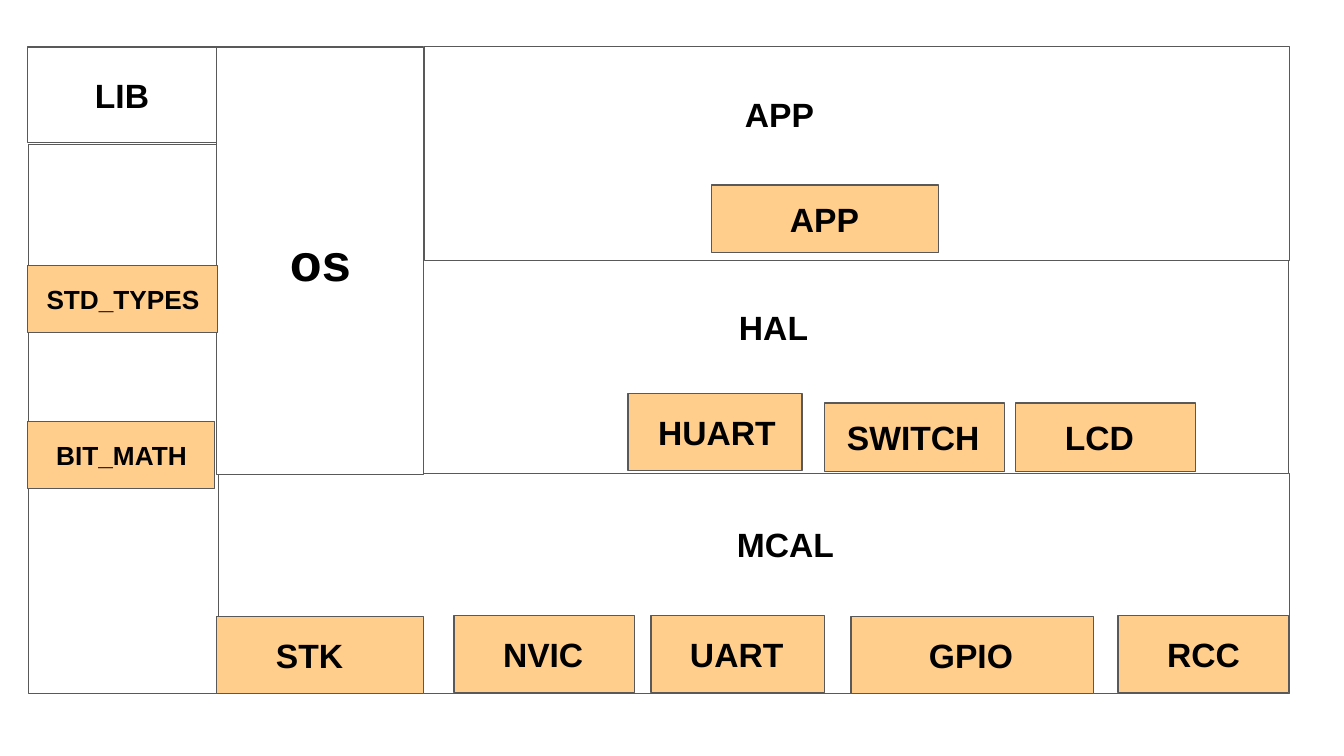
"""Build a layered software architecture slide."""
from dataclasses import dataclass
from typing import Optional

from pptx import Presentation
from pptx.dml.color import RGBColor
from pptx.enum.shapes import MSO_SHAPE
from pptx.enum.text import MSO_ANCHOR, PP_ALIGN
from pptx.util import Emu, Pt

EMU_PER_PX = 914400 / 100.8
WHITE = RGBColor(0xFF, 0xFF, 0xFF)
ORANGE = RGBColor(0xFF, 0xCD, 0x8C)
GREY = RGBColor(0x59, 0x59, 0x59)
BLACK = RGBColor(0, 0, 0)
LAYER_RISE = 40


@dataclass(frozen=True)
class Block:
    label: str
    left: int
    top: int
    width: int
    height: int
    text_left: Optional[int] = None
    fill: RGBColor = ORANGE
    size: float = 24
    rise: int = 0


BLOCKS = [
    Block("MCAL", 219, 474, 1071, 220, 737, WHITE, rise=LAYER_RISE),
    Block("HAL", 423, 260, 866, 214, 739, WHITE, rise=LAYER_RISE),
    Block("APP", 425, 47, 865, 214, 745, WHITE, rise=LAYER_RISE),
    Block("GPIO", 851, 617, 243, 77, 929),
    Block("SWITCH", 825, 403, 180, 69, 847),
    Block("", 29, 145, 190, 549, fill=WHITE),
    Block("LIB", 28, 47, 190, 96, 95, WHITE),
    Block("RCC", 1118, 616, 171, 77, 1167),
    Block("APP", 712, 185, 227, 68, 790),
    Block("os", 217, 47, 207, 428, fill=WHITE, size=37.3),
    Block("STK", 217, 617, 207, 77, 276),
    Block("UART", 651, 616, 174, 77, 690),
    Block("NVIC", 454, 616, 181, 77, 503),
    Block("LCD", 1016, 403, 180, 69, 1065),
    Block("BIT_MATH", 28, 421, 187, 68, size=18.7),
    Block("STD_TYPES", 28, 265, 190, 68, size=18.7),
    Block("HUART", 628, 394, 174, 77, 658),
]


def px(length: int) -> Emu:
    """Convert pixels to EMU."""
    return Emu(round(length * EMU_PER_PX))


def write_text(shape, text: str, *, size: float, indent: Optional[int], rise: int) -> None:
    """Write bold text, centred unless an indent is given, raised above the middle."""
    frame = shape.text_frame
    frame.word_wrap = True
    frame.vertical_anchor = MSO_ANCHOR.MIDDLE
    frame.margin_left = px(indent or 0)
    frame.margin_right = frame.margin_top = 0
    frame.margin_bottom = px(2 * rise)
    paragraph = frame.paragraphs[0]
    paragraph.alignment = PP_ALIGN.CENTER if indent is None else PP_ALIGN.LEFT
    span = paragraph.add_run()
    span.text = text
    span.font.name = "Arial"
    span.font.size = Pt(size)
    span.font.bold = True
    span.font.color.rgb = BLACK


def draw_block(page, block: Block) -> None:
    """Draw one outlined block with its label."""
    box = page.shapes.add_shape(
        MSO_SHAPE.RECTANGLE,
        px(block.left), px(block.top), px(block.width), px(block.height),
    )
    box.shadow.inherit = False
    box.fill.solid()
    box.fill.fore_color.rgb = block.fill
    box.line.color.rgb = GREY
    box.line.width = Pt(0.75)
    if block.label:
        indent = None if block.text_left is None else block.text_left - block.left
        write_text(box, block.label, size=block.size, indent=indent, rise=block.rise)


def main() -> None:
    """Build and save the deck."""
    deck = Presentation()
    deck.slide_width, deck.slide_height = px(1344), px(756)
    page = deck.slides.add_slide(deck.slide_layouts[6])
    for block in BLOCKS:
        draw_block(page, block)
    deck.save("out.pptx")


if __name__ == "__main__":
    main()
